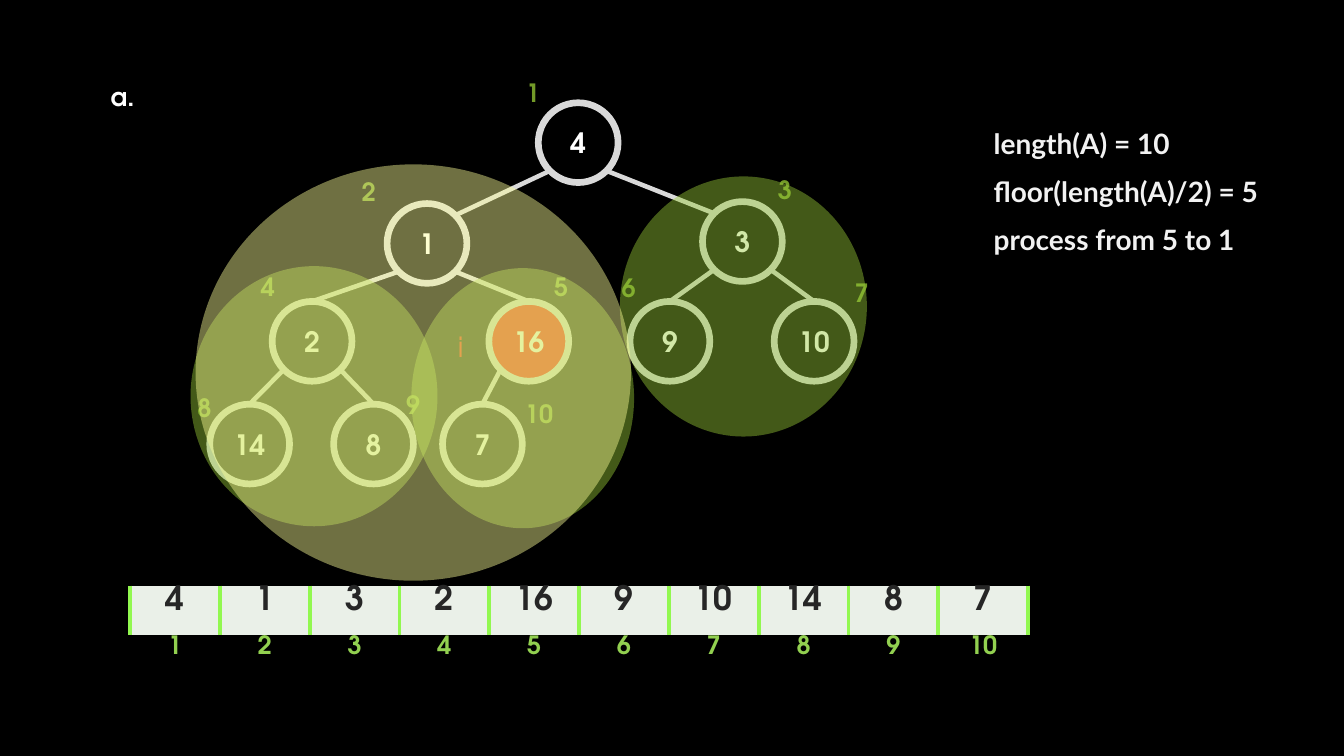
from lxml import etree
from pptx import Presentation
from pptx.dml.color import RGBColor
from pptx.enum.shapes import MSO_CONNECTOR, MSO_SHAPE
from pptx.enum.text import MSO_ANCHOR, MSO_AUTO_SIZE, PP_ALIGN
from pptx.oxml.ns import qn
from pptx.util import Pt

HUES = {
    "back": "000000", "ring": "D9D9D9", "white": "FFFFFF", "pale": "F2F2F2",
    "red": "FF0000", "index": "739A28", "leaf": "99CB38", "cream": "FDFF97",
    "cell": "EAF0E8", "dark": "262626", "rule": "92F850", "lime": "92D050",
}
GEO, LATO = "TeX Gyre Adventor", "Lato"
SIZE = 57    # node diameter
REACH = 20   # offset from a node's centre to its diagonal edge point

# Heap order: value, node left and top, index label left and top
NODES = [
    (4, 384.5, 73.4, 368.6, 51.8),
    (1, 276.5, 145.4, 251.3, 122.4),
    (3, 501.8, 144, 548.6, 121),
    (2, 194.4, 215.3, 179.3, 190.1),
    (16, 349.2, 215.3, 388.8, 190.1),
    (9, 450, 215.3, 437, 190.8),
    (10, 553, 215.3, 603.4, 194.4),
    (14, 149.8, 288.7, 133.9, 276.5),
    (8, 238.3, 288.7, 283, 274.3),
    (7, 316.1, 288.7, 367.9, 280.8),
]
ACTIVE = 5

# Subtree highlights: left, top, width, height, colour
ZONES = [
    (136.1, 190.1, 176.4, 185.8, "leaf"),
    (293.8, 191.5, 159.1, 185.8, "leaf"),
    (442.8, 126, 176.4, 185.8, "leaf"),
    (139.7, 117.4, 311, 297.4, "cream"),
]
NOTES = ["length(A) = 10", "floor(length(A)/2) = 5", "process from 5 to 1"]


def rgb(name):
    return RGBColor.from_string(HUES[name])


def style(para, size, hue, face=GEO, bold=True):
    font = para.font
    font.size, font.name, font.bold = Pt(size), face, bold
    font.color.rgb = rgb(hue)


def add_text(slide, left, top, width, height, lines, size, hue,
             face=GEO, bold=True, wrap=False):
    box = slide.shapes.add_textbox(Pt(left), Pt(top), Pt(width), Pt(height))
    frame = box.text_frame
    frame.word_wrap = wrap
    frame.auto_size = MSO_AUTO_SIZE.SHAPE_TO_FIT_TEXT
    frame.text = "\n".join(lines)
    for n, para in enumerate(frame.paragraphs):
        style(para, size, hue, face, bold)
        if n:
            para.space_before = Pt(size / 2)


def add_oval(slide, left, top, width, height):
    oval = slide.shapes.add_shape(
        MSO_SHAPE.OVAL, Pt(left), Pt(top), Pt(width), Pt(height))
    oval.shadow.inherit = False
    return oval


def add_node(slide, value, left, top, active):
    node = add_oval(slide, left, top, SIZE, SIZE)
    if active:
        node.fill.solid()
        node.fill.fore_color.rgb = rgb("red")
    else:
        node.fill.background()
    node.line.color.rgb = rgb("ring")
    node.line.width = Pt(4.75)
    frame = node.text_frame
    frame.margin_left = frame.margin_right = 0
    frame.vertical_anchor = MSO_ANCHOR.MIDDLE
    frame.text = str(value)
    para = frame.paragraphs[0]
    para.alignment = PP_ALIGN.CENTER
    style(para, 20, "white")


def add_edge(slide, index):
    """Join a node to its heap parent; left children have even indices."""
    def centre(i):
        return [at + SIZE / 2 for at in NODES[i - 1][1:3]]

    side = -1 if index % 2 == 0 else 1
    x1, y1 = centre(index // 2)
    x2, y2 = centre(index)
    if index <= 3:
        x2, y2 = x2 - side * REACH, y2 - REACH
    else:
        y2 -= SIZE / 2
    edge = slide.shapes.add_connector(
        MSO_CONNECTOR.STRAIGHT, Pt(x1 + side * REACH), Pt(y1 + REACH),
        Pt(x2), Pt(y2))
    edge.line.color.rgb = rgb("ring")
    edge.line.width = Pt(3.25)
    etree.SubElement(edge._element.spPr, qn("a:effectLst"))


def add_zone(slide, left, top, width, height, hue):
    zone = add_oval(slide, left, top, width, height)
    zone.fill.solid()
    zone.fill.fore_color.rgb = rgb(hue)
    zone.line.fill.background()
    tint = zone._element.spPr.find(".//" + qn("a:srgbClr"))
    etree.SubElement(tint, qn("a:alpha"), val="44000")


def set_sides(cell, ruled):
    """Rule the left and right sides, or clear every side."""
    props = cell._tc.get_or_add_tcPr()
    for n, side in enumerate(("lnL", "lnR", "lnT", "lnB")):
        line = etree.Element(qn("a:" + side), w=str(Pt(3)))
        if ruled and side in ("lnL", "lnR"):
            fill = etree.SubElement(line, qn("a:solidFill"))
            etree.SubElement(fill, qn("a:srgbClr"), val=HUES["rule"])
        else:
            etree.SubElement(line, qn("a:noFill"))
        props.insert(n, line)


def add_array(slide):
    rows = [
        ([node[0] for node in NODES], 24, "dark", "cell"),
        (range(1, len(NODES) + 1), 18, "lime", "back"),
    ]
    table = slide.shapes.add_table(
        2, len(NODES), Pt(92.9), Pt(418.3), Pt(641.5), Pt(71.2)).table
    table.first_row = table.horz_banding = False
    for r, (values, size, hue, fill) in enumerate(rows):
        for c, value in enumerate(values):
            cell = table.cell(r, c)
            cell.margin_top = cell.margin_bottom = 0
            cell.fill.solid()
            cell.fill.fore_color.rgb = rgb(fill)
            cell.text = str(value)
            para = cell.text_frame.paragraphs[0]
            para.alignment = PP_ALIGN.CENTER
            style(para, size, hue)
            set_sides(cell, r == 0)


def main():
    deck = Presentation()
    deck.slide_width, deck.slide_height = Pt(960), Pt(540)
    slide = deck.slides.add_slide(deck.slide_layouts[6])
    slide.background.fill.solid()
    slide.background.fill.fore_color.rgb = rgb("back")

    # Array with its indices
    add_array(slide)

    # Heap tree
    for i, (value, left, top, _, _) in enumerate(NODES, 1):
        add_node(slide, value, left, top, i == ACTIVE)
    for i in range(2, len(NODES) + 1):
        add_edge(slide, i)
    for i, (_, _, _, left, top) in enumerate(NODES, 1):
        width = 24.5 if i < 10 else 35.3
        add_text(slide, left, top, width, 28.8, [str(i)], 18, "index")

    # Pointer, notes and part letter
    add_text(slide, 320, 232, 18.4, 31.2, ["i"], 20, "red", bold=False)
    add_text(slide, 702.7, 87.1, 237.6, 140.4, NOTES, 20, "pale",
             face=LATO, wrap=True)
    add_text(slide, 72, 54.7, 31.7, 28.8, ["a."], 18, "white")

    # Subtree highlights
    for zone in ZONES:
        add_zone(slide, *zone)

    deck.save("out.pptx")


if __name__ == "__main__":
    main()
